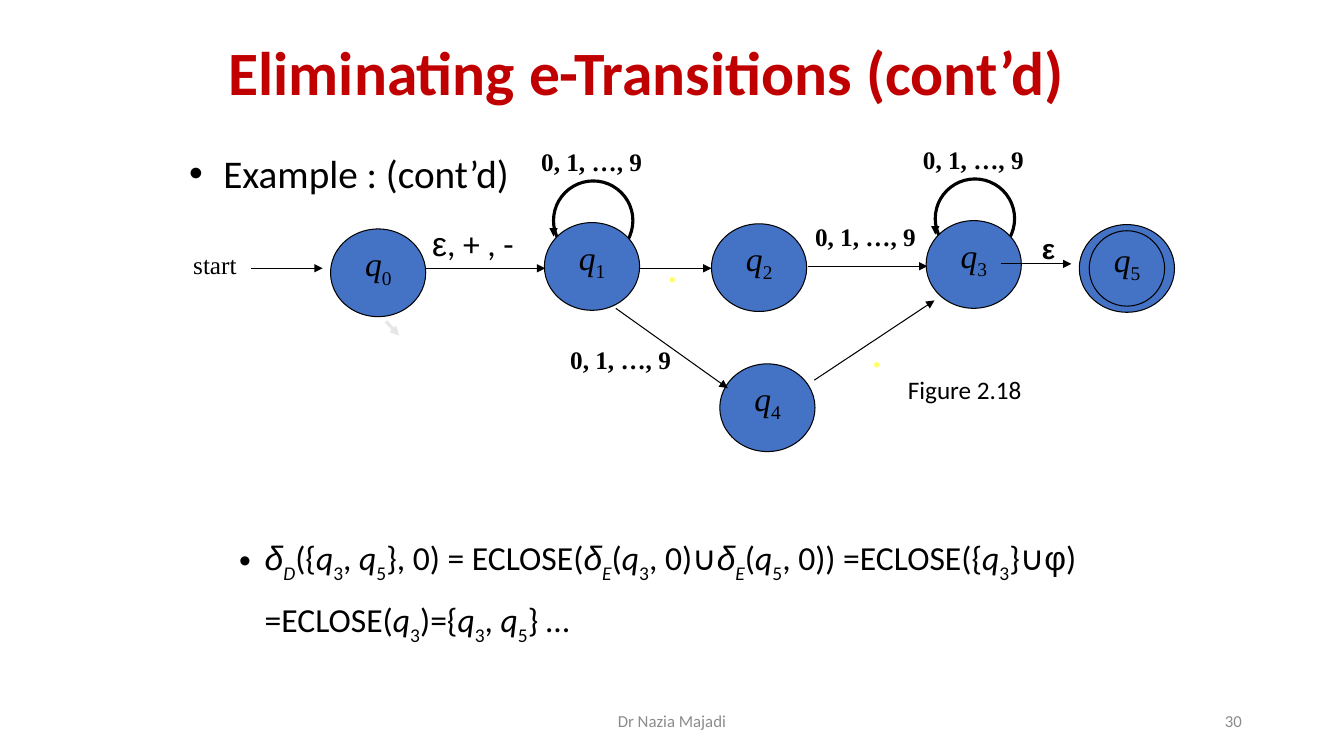
from itertools import groupby

from lxml import etree
from pptx import Presentation
from pptx.dml.color import RGBColor
from pptx.enum import shapes, text
from pptx.oxml.ns import qn
from pptx.util import Cm, Pt

BLACK = RGBColor(0x00, 0x00, 0x00)
RED = RGBColor(0xC0, 0x00, 0x00)
BLUE = RGBColor(0x44, 0x72, 0xC4)
GREY = RGBColor(0x8C, 0x8C, 0x8C)
PALE = RGBColor(0xE7, 0xE6, 0xE6)
YELLOW = RGBColor(0xFF, 0xFF, 0x66)
SERIF, SANS, GREEK = "Times New Roman", "Calibri", "Arial"

# Content: all lengths in cm; "_" marks the next character as a subscript
TITLE = "Eliminating e-Transitions (cont’d)"
EXAMPLE = "Example : (cont’d)"
EQUATION = ("δ_D({q_3, q_5}, 0) = ECLOSE(δ_E(q_3, 0)∪δ_E(q_5, 0)) "
            "=ECLOSE({q_3}∪φ) =ECLOSE(q_3)={q_3, q_5} …")
DIGITS = "0, 1, …, 9"
STATES = {  # left, top
    "q_0": (8.33, 5.77), "q_1": (13.72, 5.61), "q_2": (17.93, 5.64),
    "q_3": (23.34, 5.56), "q_4": (18.14, 9.17), "q_5": (27.2, 5.66),
}
LOOPED = ("q_1", "q_3")
FINAL = "q_5"
ARROWS = [  # x1, y1, x2, y2
    (6.32, 6.76, 8.13, 6.76),
    (10.74, 6.76, 13.74, 6.76),
    (16.13, 6.76, 17.93, 6.76),
    (20.37, 6.71, 23.37, 6.71),
    (25.22, 6.65, 27, 6.65),
    (15.52, 7.77, 18.34, 9.78),
    (20.52, 9.58, 23.55, 7.57),
]
LABELS = [  # text, left, top, width, size, font, bold, colour
    ("start", 4.62, 6.17, 1.9, 18, SERIF, False, BLACK),
    ("ε, + , -", 10.64, 5.49, 3.4, 24, SANS, False, BLACK),
    (DIGITS, 20.29, 5.46, 3.4, 18, SERIF, True, BLACK),
    (DIGITS, 14.12, 8.56, 4.2, 18, SERIF, True, BLACK),
    ("ε", 26.01, 5.72, 1.2, 20, SANS, True, BLACK),
    (".", 16.59, 6.15, 1, 24, SERIF, True, YELLOW),
    (".", 21.74, 8.28, 1, 24, SERIF, True, YELLOW),
    ("Figure 2.18", 22.63, 9.32, 6.6, 18, SANS, False, BLACK),
]
FOOTERS = [  # text, left, width, alignment
    ("Dr Nazia Majadi", 11.22, 11.43, text.PP_ALIGN.CENTER),
    ("30", 23.93, 7.62, text.PP_ALIGN.RIGHT),
]
STATE_W, STATE_H, LOOP_D, RING_D = 2.4, 2.21, 2, 1.9

prs = Presentation()
prs.slide_width, prs.slide_height = Cm(33.87), Cm(19.05)
s = prs.slides.add_slide(prs.slide_layouts[5])


def add_runs(p, content, size, font, bold=False, color=BLACK, base=-30):
    """Split the text into runs by font, slant and baseline."""
    chars, previous = [], ""
    for c in content:
        if c != "_":
            style = (GREEK if c in "δφε" else font,
                     c in "qδ" or (previous == "_" and c.isalpha()), previous == "_")
            chars.append((style, c))
        previous = c
    for (name, italic, sub), run in groupby(chars, key=lambda pair: pair[0]):
        r = p.add_run()
        r.text = "".join(c for _, c in run)
        r.font.name, r.font.size, r.font.bold = name, Pt(size), bold
        r.font.italic = italic
        r.font.color.rgb = color
        if sub:
            r._r.get_or_add_rPr().set("baseline", str(base * 1000))


def add_text(content, x, y, w, h, size, font, bold=False, color=BLACK,
             align=text.PP_ALIGN.LEFT, anchor=text.MSO_ANCHOR.TOP, base=-30):
    tf = s.shapes.add_textbox(Cm(x), Cm(y), Cm(w), Cm(h)).text_frame
    tf.word_wrap, tf.vertical_anchor = True, anchor
    p = tf.paragraphs[0]
    p.alignment = align
    add_runs(p, content, size, font, bold, color, base)
    return p


def add_bullet(p, margin, hanging, spacing):
    pPr = p._p.get_or_add_pPr()
    pPr.set("marL", str(Cm(margin)))
    pPr.set("indent", str(-Cm(hanging)))
    etree.SubElement(pPr, qn("a:buFont")).set("typeface", "Arial")
    etree.SubElement(pPr, qn("a:buChar")).set("char", "•")
    p.line_spacing = spacing


def add_ellipse(x, y, w, h, fill=None, weight=0.75):
    sp = s.shapes.add_shape(shapes.MSO_SHAPE.OVAL, Cm(x), Cm(y), Cm(w), Cm(h))
    sp.shadow.inherit = False
    if fill is None:
        sp.fill.background()
    else:
        sp.fill.solid()
        sp.fill.fore_color.rgb = fill
    sp.line.color.rgb, sp.line.width = BLACK, Pt(weight)


def add_arrow(x1, y1, x2, y2, color=BLACK, weight=0.75):
    c = s.shapes.add_connector(shapes.MSO_CONNECTOR.STRAIGHT,
                               Cm(x1), Cm(y1), Cm(x2), Cm(y2))
    c.line.color.rgb, c.line.width = color, Pt(weight)
    etree.SubElement(c.line._get_or_add_ln(), qn("a:tailEnd")).set("type", "triangle")
    etree.SubElement(c._element.spPr, qn("a:effectLst"))


# Title
title = s.shapes.title
title.left, title.top, title.width, title.height = Cm(5.51), Cm(0.89), Cm(22.86), Cm(2.03)
tf = title.text_frame
tf.word_wrap, tf.auto_size = True, text.MSO_AUTO_SIZE.NONE
tf.vertical_anchor = text.MSO_ANCHOR.MIDDLE
p = tf.paragraphs[0]
p.alignment, p.line_spacing = text.PP_ALIGN.LEFT, 0.9
add_runs(p, TITLE, 44, SANS, True, RED)
for r in p.runs:
    r.font.italic = False

# Bulleted text
add_bullet(add_text(EXAMPLE, 4.52, 3.76, 9.5, 1.3, 28, SANS), 0.86, 0.86, 0.9)
add_bullet(add_text(EQUATION, 4.52, 13.21, 25.1, 3.2, 24, SANS,
                    anchor=text.MSO_ANCHOR.BOTTOM), 1.9, 0.64, 1.3)

# States, with loops behind them
for name, (x, y) in STATES.items():
    if name in LOOPED:
        loop_x, loop_y = x + 0.23, y - 1.05
        add_ellipse(loop_x, loop_y, LOOP_D, LOOP_D, weight=2.25)
        add_arrow(loop_x, loop_y + 0.8, loop_x, loop_y + 1.4)
        add_text(DIGITS, loop_x - 0.84, loop_y - 1, 3.6, 1.02, 18, SERIF, True,
                 align=text.PP_ALIGN.CENTER)
    add_ellipse(x, y, STATE_W, STATE_H, BLUE)
    if name == FINAL:
        add_ellipse(x + (STATE_W - RING_D) / 2, y + (STATE_H - RING_D) / 2, RING_D, RING_D)
    add_text(name, x + 0.62, y + 0.23, 1.8, 1.27, 24, SERIF, base=-25)

# Transitions and their labels
for ends in ARROWS:
    add_arrow(*ends)
add_arrow(9.73, 8.1, 10.06, 8.46, PALE, 2.25)
for content, x, y, w, size, font, bold, color in LABELS:
    add_text(content, x, y, w, 1.1, size, font, bold, color)

# Footer and slide number
for content, x, w, align in FOOTERS:
    add_text(content, x, 17.65, w, 1.02, 12, SANS, color=GREY, align=align,
             anchor=text.MSO_ANCHOR.MIDDLE)

prs.save("out.pptx")
